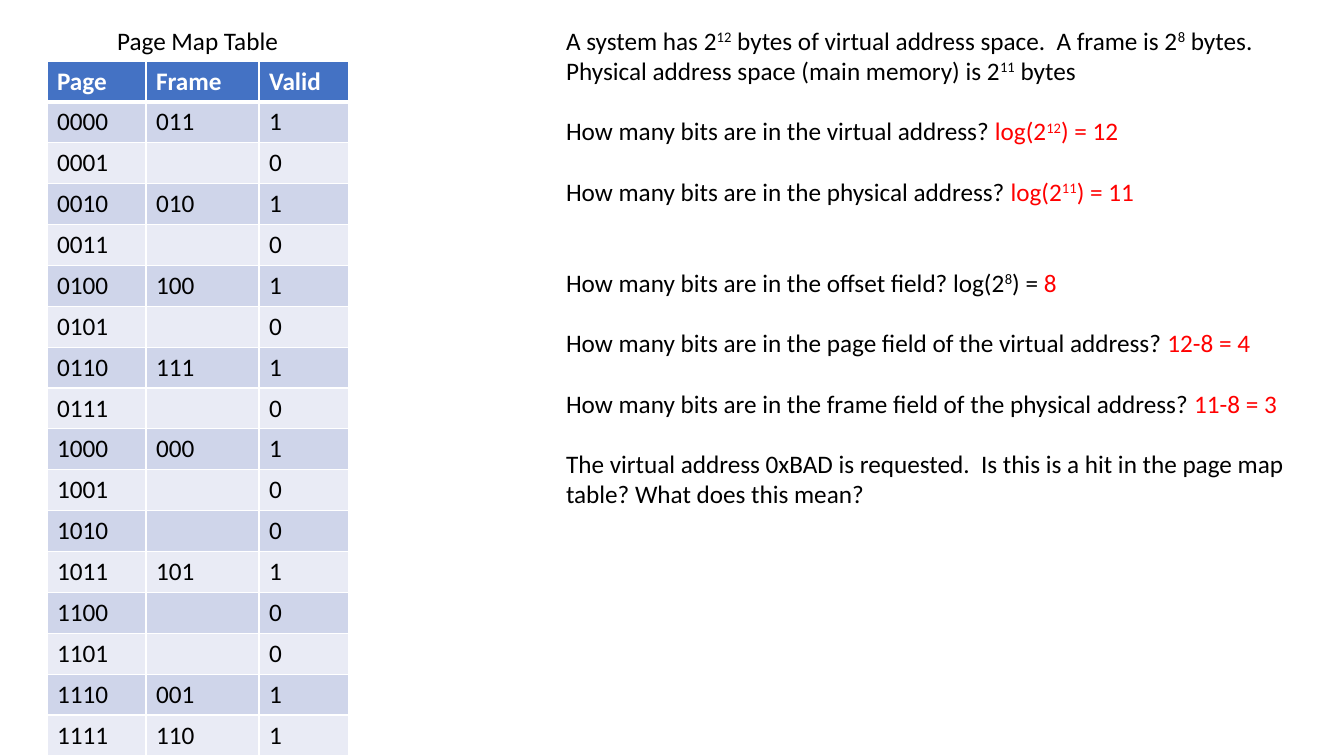
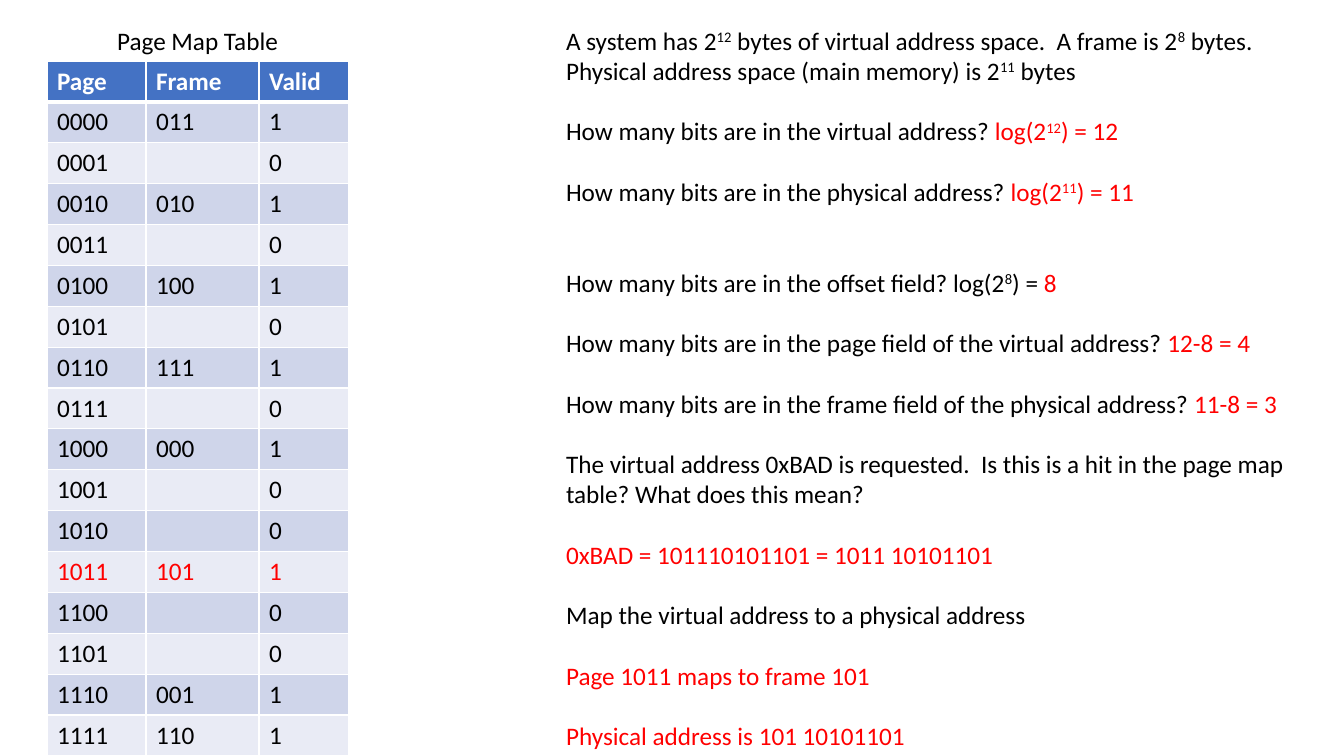
import lxml.etree
import pptx
import pptx.dml.color
import pptx.enum.text
import pptx.oxml.ns
import pptx.util

PX = 914400 / 100.8
LINE_HEIGHT = 21.6
COLORS = {
    "text": "000000",
    "answer": "FF0000",
    "header": "4472C4",
    "odd": "CFD5EA",
    "even": "E9EBF5",
    "white": "FFFFFF",
}
COLUMNS = {"Page": 99, "Frame": 113, "Valid": 90}
FRAMES = {0: "011", 2: "010", 4: "100", 6: "111", 8: "000", 11: "101", 14: "001", 15: "110"}
QUESTIONS = [
    (0, "A system has 2^12^ bytes of virtual address space.  A frame is 2^8^ bytes.  "
        "Physical address space (main memory) is 2^11^ bytes"),
    (1, "How many bits are in the virtual address? |log(2^12^) = 12"),
    (1, "How many bits are in the physical address? |log(2^11^) = 11"),
    (2, "How many bits are in the offset field? log(2^8^) = |8"),
    (1, "How many bits are in the page field of the virtual address? |12-8 = 4"),
    (1, "How many bits are in the frame field of the physical address? |11-8 = 3"),
    (1, "The virtual address 0xBAD is requested.  Is this is a hit in the page map table? "
        "What does this mean?"),
]
SOLUTION = [
    (1, "|0xBAD = 101110101101 = 1011 10101101"),
    (1, "Map the virtual address to a physical address"),
    (1, "|Page 1011 maps to frame 101"),
    (1, "|Physical address is 101 10101101"),
]
SLIDES = [
    {"lines": QUESTIONS, "height": 499, "hit": None},
    {"lines": QUESTIONS + SOLUTION, "height": 736, "hit": 11},
]


def px(length):
    return pptx.util.Emu(round(length * PX))


def write(para, text, color="text", bold=False, gap=0):
    para.alignment = pptx.enum.text.PP_ALIGN.LEFT
    para.space_before = pptx.util.Pt(gap)
    for part_index, part in enumerate(text.split("|")):
        part_color = "answer" if part_index % 2 else color
        for piece_index, piece in enumerate(part.split("^")):
            if not piece:
                continue
            span = para.add_run()
            span.text = piece
            span.font.name = "Calibri"
            span.font.size = pptx.util.Pt(18)
            span.font.bold = bold
            span.font.color.rgb = pptx.dml.color.RGBColor.from_string(COLORS[part_color])
            if piece_index % 2:
                span._r.get_or_add_rPr().set("baseline", "30000")


deck = pptx.Presentation()
deck.slide_width, deck.slide_height = px(1344), px(756)

for content in SLIDES:
    page = deck.slides.add_slide(deck.slide_layouts[1])
    title, body = page.placeholders
    boxes = [(title, 107, 183, 40, False), (body, 556, 756, content["height"], True)]
    for box, left, width, height, wrap in boxes:
        box.left, box.top, box.width, box.height = px(left), px(20), px(width), px(height)
        box.text_frame.word_wrap = wrap
        box.text_frame.auto_size = pptx.enum.text.MSO_AUTO_SIZE.NONE
        box.text_frame.vertical_anchor = pptx.enum.text.MSO_ANCHOR.TOP

    write(title.text_frame.paragraphs[0], "Page Map Table")
    for index, (gap_lines, text) in enumerate(content["lines"]):
        para = body.text_frame.add_paragraph() if index else body.text_frame.paragraphs[0]
        write(para, text, gap=gap_lines * LINE_HEIGHT)
        properties = para._p.get_or_add_pPr()
        properties.set("marL", "0")
        properties.set("indent", "0")
        lxml.etree.SubElement(properties, pptx.oxml.ns.qn("a:buNone"))

    rows = [list(COLUMNS)]
    for number in range(16):
        frame = FRAMES.get(number, "")
        rows.append([f"{number:04b}", frame, "1" if frame else "0"])
    table = page.shapes.add_table(
        len(rows), len(COLUMNS), px(47), px(61), px(sum(COLUMNS.values())), px(695)
    ).table
    for column, width in zip(table.columns, COLUMNS.values()):
        column.width = px(width)
    for row_index, values in enumerate(rows):
        table.rows[row_index].height = px(695 / len(rows))
        is_header = row_index == 0
        fill = "header" if is_header else "odd" if row_index % 2 else "even"
        color = "white" if is_header else "text"
        if content["hit"] is not None and row_index == content["hit"] + 1:
            color = "answer"
        edges = {
            "lnL": 1,
            "lnR": 1,
            "lnT": 3 if row_index == 1 else 1,
            "lnB": 3 if is_header else 1,
        }
        for column_index, value in enumerate(values):
            cell = table.cell(row_index, column_index)
            write(cell.text_frame.paragraphs[0], value, color=color, bold=is_header)
            cell.fill.solid()
            cell.fill.fore_color.rgb = pptx.dml.color.RGBColor.from_string(COLORS[fill])
            properties = cell._tc.get_or_add_tcPr()
            for position, (edge, points) in enumerate(edges.items()):
                line = lxml.etree.Element(pptx.oxml.ns.qn(f"a:{edge}"), w=str(pptx.util.Pt(points)))
                paint = lxml.etree.SubElement(line, pptx.oxml.ns.qn("a:solidFill"))
                lxml.etree.SubElement(paint, pptx.oxml.ns.qn("a:srgbClr"), val=COLORS["white"])
                properties.insert(position, line)

deck.save("out.pptx")
